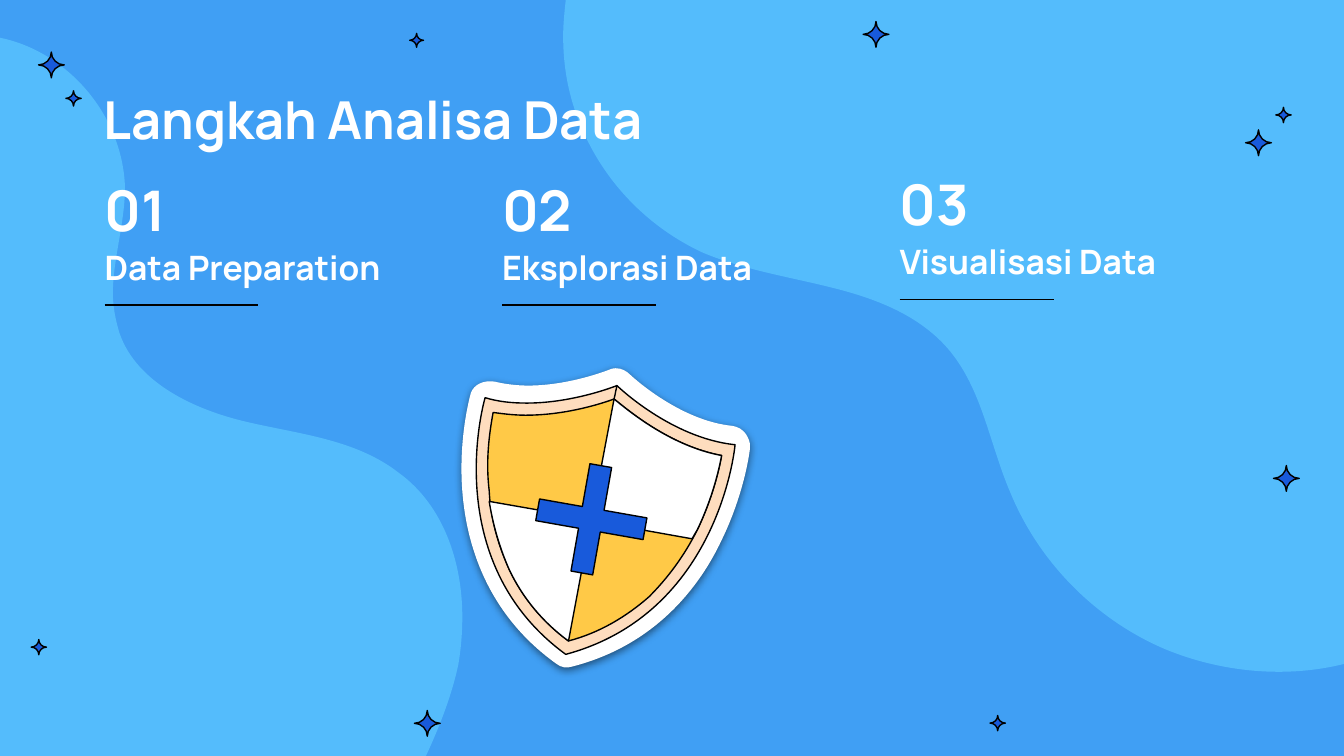
import dataclasses
import math

import pptx
import pptx.dml.color
import pptx.enum.shapes
import pptx.enum.text
import pptx.oxml
import pptx.oxml.ns
import pptx.util

Pt = pptx.util.Pt
NAMESPACE = pptx.oxml.ns.nsdecls("a")


@dataclasses.dataclass(frozen=True)
class Theme:
    font: str = "Manrope"
    background: str = "409FF4"
    wave: str = "54BCFC"
    accent: str = "185ADB"
    gold: str = "FFC947"
    rim: str = "FEDDBE"
    white: str = "FFFFFF"
    ink: str = "000000"
    title_size: float = 28
    number_size: float = 30
    label_size: float = 18
    line_width: float = 0.75


def rgb(value):
    return pptx.dml.color.RGBColor.from_string(value)


def bend(shape, segments):
    """Merge the three straight sides drawn for each curve into one Bezier."""
    sides = iter(list(shape._element.spPr.iter(pptx.oxml.ns.qn("a:lnTo"))))
    for segment in segments:
        first = next(sides)
        if len(segment) == 2:
            continue
        curve = pptx.oxml.parse_xml(f"<a:cubicBezTo {NAMESPACE}/>")
        first.addprevious(curve)
        for side in (first, next(sides), next(sides)):
            curve.append(side[0])
            side.getparent().remove(side)


class Painter:
    def __init__(self, page, theme):
        self.page = page
        self.theme = theme
        page.background.fill.solid()
        page.background.fill.fore_color.rgb = rgb(theme.background)

    def outline(self, start, segments, fill, lined=True):
        """Add a closed shape; segments hold 2 (line) or 6 (curve) numbers."""
        points = [(Pt(segment[i]), Pt(segment[i + 1]))
                  for segment in segments for i in range(0, len(segment), 2)]
        builder = self.page.shapes.build_freeform(Pt(start[0]), Pt(start[1]), scale=1.0)
        builder.add_line_segments(points, close=True)
        shape = builder.convert_to_shape()
        bend(shape, segments)
        shape.shadow.inherit = False
        shape.fill.solid()
        shape.fill.fore_color.rgb = rgb(fill)
        if lined:
            self.ink_line(shape)
        else:
            shape.line.fill.background()
        return shape

    def ink_line(self, shape):
        shape.line.color.rgb = rgb(self.theme.ink)
        shape.line.width = Pt(self.theme.line_width)

    def soft_shadow(self, shape):
        effects = shape._element.spPr.find(pptx.oxml.ns.qn("a:effectLst"))
        effects.append(pptx.oxml.parse_xml(
            f'<a:outerShdw {NAMESPACE} blurRad="{Pt(4.5)}" '
            f'dist="{Pt(1.5)}" dir="5400000" algn="bl" rotWithShape="0">'
            f'<a:srgbClr val="{self.theme.ink}"><a:alpha val="50000"/></a:srgbClr>'
            '</a:outerShdw>'))

    def line(self, x1, y1, x2, y2):
        connector = self.page.shapes.add_connector(
            pptx.enum.shapes.MSO_CONNECTOR.STRAIGHT, Pt(x1), Pt(y1), Pt(x2), Pt(y2))
        self.ink_line(connector)
        connector._element.spPr.append(
            pptx.oxml.parse_xml(f"<a:effectLst {NAMESPACE}/>"))

    def text(self, words, left, top, width, height, size, anchor="MIDDLE"):
        box = self.page.shapes.add_textbox(Pt(left), Pt(top), Pt(width), Pt(height))
        frame = box.text_frame
        frame.word_wrap = True
        frame.vertical_anchor = pptx.enum.text.MSO_ANCHOR[anchor]
        frame.margin_left = frame.margin_right = 0
        frame.margin_top = frame.margin_bottom = 0
        frame.text = words
        font = frame.paragraphs[0].runs[0].font
        font.name = self.theme.font
        font.size = Pt(size)
        font.bold = True
        font.color.rgb = rgb(self.theme.white)

    def star(self, x, y, radius):
        pull = 0.45 * radius
        tips = [(0, -1), (-1, 0), (0, 1), (1, 0), (0, -1)]
        sides = [(x + a * pull, y + b * pull, x + c * pull, y + d * pull,
                  x + c * radius, y + d * radius)
                 for (a, b), (c, d) in zip(tips, tips[1:])]
        self.outline((x, y - radius), sides, self.theme.accent)

    def cross(self, x, y, reach, half_width, degrees):
        corners = []
        for quarter in range(4):
            angle = math.radians(degrees + 90 * quarter)
            cos, sin = math.cos(angle), math.sin(angle)
            for a, b in ((-half_width, -reach), (half_width, -reach),
                         (half_width, -half_width)):
                corners.append((x + a * cos - b * sin, y + a * sin + b * cos))
        self.outline(corners[0], corners[1:], self.theme.accent)


def draw_waves(painter):
    wave = painter.theme.wave
    painter.outline((720, 355.7), [
        (688.3, 363.6, 653.8, 360, 624.2, 347.8),
        (586.8, 331.9, 556.6, 301, 541.4, 264.2),
        (529.9, 237.6, 526.3, 208.1, 507.6, 186.5),
        (491.8, 168.5, 468.7, 159.8, 445.7, 154.1),
        (422.6, 148.3, 398.9, 144.7, 376.6, 135.4),
        (347, 121.7, 323.3, 97.2, 311, 67),
        (304.6, 51.8, 301.7, 36, 301.7, 19.4),
        (301.7, 13, 302.4, 6.5, 303.1, 0), (720, 0)], wave, lined=False)
    painter.outline((247.7, 330.5), [
        (247.7, 339.1, 247, 347.8, 245.5, 356.4),
        (241.9, 373, 235.4, 389.5, 228.2, 405), (0, 405), (0, 20.2),
        (35.3, 27.4, 65.5, 60.5, 67, 100.1),
        (67, 119.5, 60.5, 139, 60.5, 157),
        (60.5, 164.2, 61.9, 171.4, 64.1, 178.6),
        (73.4, 205.2, 104.4, 219.6, 132.5, 226.1),
        (160.6, 232.6, 190.8, 235.4, 213.8, 253.4),
        (237.6, 270.7, 247.7, 301, 247.7, 330.5)], wave, lined=False)


def draw_shield(painter):
    theme = painter.theme
    halo = painter.outline((329.8, 197.3), [
        (328.5, 197.3, 327.3, 197.6, 326.2, 198.2),
        (324.7, 198.7, 304.6, 206.6, 283, 206.6),
        (277.2, 206.6, 270.7, 205.9, 265, 204.5),
        (259, 203.6, 254, 206, 252.3, 210.5),
        (251.3, 213.8, 245.5, 236.2, 247.7, 263.5),
        (249.8, 290.2, 259.9, 328.3, 298.1, 355.7),
        (300.5, 357.6, 303.5, 358.2, 306.7, 357.1),
        (351.4, 345.6, 375.1, 313.9, 386.6, 289.4),
        (398.9, 264.2, 401.8, 241.2, 401.8, 239.8),
        (402, 237, 401, 234.8, 399.6, 232.6),
        (398, 230.3, 395.5, 228.7, 392.4, 228.2),
        (363.6, 225.4, 337.7, 200.9, 337.7, 200.9),
        (335.5, 198.7, 333, 197.3, 329.8, 197.3)], theme.white, lined=False)
    painter.soft_shadow(halo)
    rim_top, field_top = (330.5, 206.6), (329, 213.8)
    painter.outline(rim_top, [
        (330.5, 206.6, 307.4, 216, 282.2, 216),
        (274.3, 216, 267.1, 215.3, 259.9, 213.1),
        (259.9, 213.1, 234, 300.2, 303.1, 350.6),
        (385.9, 328.3, 393.8, 238.3, 393.8, 238.3),
        (359.3, 234.7, 330.5, 206.6, *rim_top)], theme.rim)
    center = (316.8, 278.2)
    lower_left = (280.1, 320.4, 290.9, 333.4, 304.6, 343.4)
    upper_right = [(381.6, 267.1, 385.2, 252, 386.6, 244.1),
                   (359.3, 239, 337, 220.3, *field_top)]
    painter.outline(field_top, [
        (321.1, 216.7, 302.4, 222.5, 281.5, 222.5),
        (275.8, 222.5, 270, 221.8, 264.2, 221),
        (262.8, 229, 259.9, 244.8, 262.1, 262.8),
        (262.8, 278.6, 267.1, 292.3, 272.9, 305.3), lower_left,
        (321.1, 339.1, 335.5, 330.5, 347.8, 319.7),
        (357.8, 309.6, 366.5, 298.1, 373.7, 283.7), *upper_right], theme.gold)
    painter.outline(field_top, [center, (345.6, 284.2), (370.8, 288.7),
                                (373.7, 283.7), *upper_right], theme.white)
    painter.outline((262.1, 268.6), [
        (264.2, 281.5, 267.8, 293.8, 272.9, 305.3), lower_left, center], theme.white)
    painter.line(*rim_top, *field_top)
    painter.cross(*center, reach=29.2, half_width=5.9, degrees=10)


def main():
    deck = pptx.Presentation()
    deck.slide_width, deck.slide_height = Pt(720), Pt(405)
    theme = Theme()
    painter = Painter(deck.slides.add_slide(deck.slide_layouts[6]), theme)
    draw_waves(painter)
    stars = {6.9: [(27.5, 34.8), (674.2, 76.5), (689.1, 256.3), (469.3, 18.4),
                   (228.9, 387.5)],
             4.1: [(534.5, 387.4), (39.4, 52.7), (687.6, 61.6), (20.8, 346.7)],
             3.7: [(223.2, 21.6)]}
    for radius, centers in stars.items():
        for x, y in centers:
            painter.star(x, y, radius)

    painter.text("Langkah Analisa Data", 55.5, 46.8, 607.7, 36, theme.title_size, "TOP")
    steps = [("Data Preparation", 0), ("Eksplorasi Data", 0), ("Visualisasi Data", 3)]
    for index, (label, rise) in enumerate(steps):
        left, top = 56 + 213 * index, 96.5 - rise
        painter.text(label, left, top + 32.4, 182, 28, theme.label_size)
        painter.text(f"{index + 1:02}", left, top, 182, 31, theme.number_size)
        painter.line(left, top + 67, left + 82.5, top + 67)
    draw_shield(painter)
    deck.save("out.pptx")


if __name__ == "__main__":
    main()
